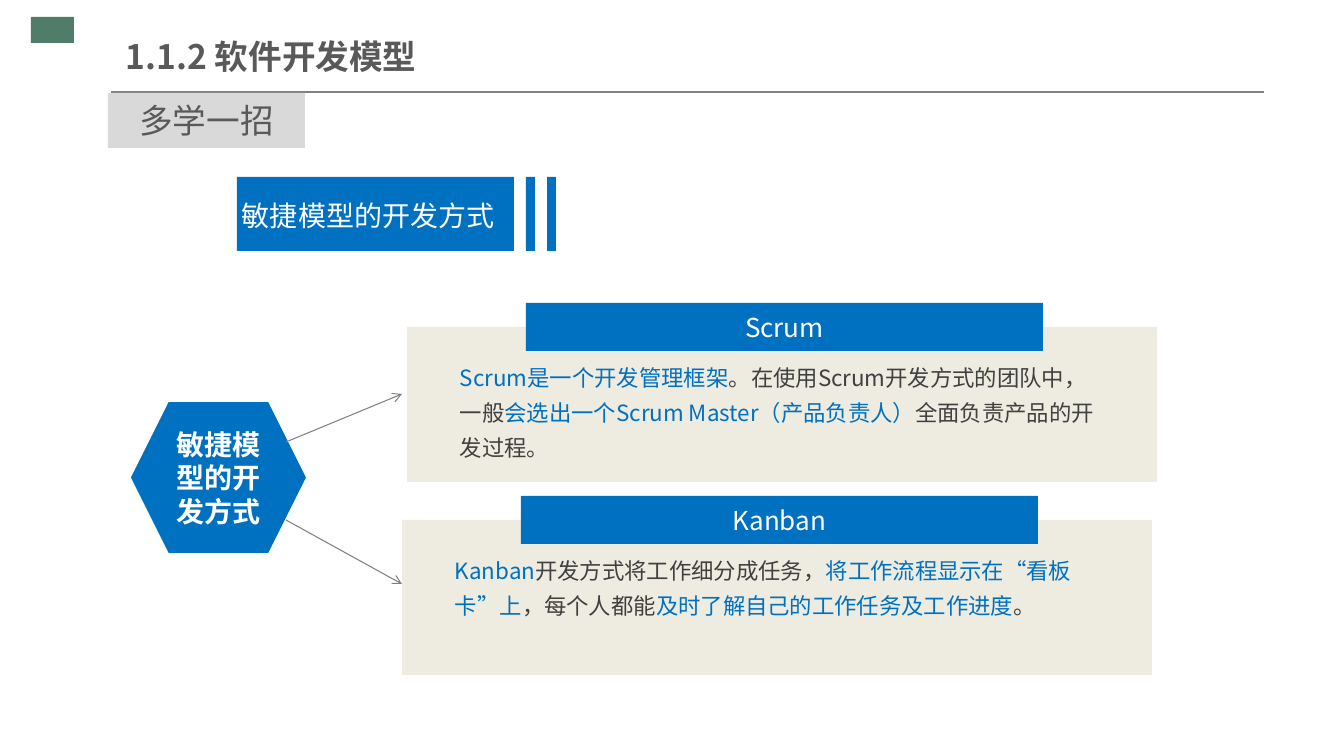
import pptx
import pptx.util
import pptx.dml.color
import pptx.enum.shapes
import pptx.enum.text
import pptx.oxml
import pptx.oxml.ns

FONT = "Noto Sans CJK SC"
BLUE, GREEN, BEIGE, SILVER = "0070C0", "4F7D6A", "EEECE1", "D9D9D9"
WHITE, GREY, DARK, INK = "FFFFFF", "808080", "595959", "404040"
SHAPE = pptx.enum.shapes.MSO_SHAPE
ALIGN = pptx.enum.text.PP_ALIGN
ANCHOR = pptx.enum.text.MSO_ANCHOR


def px(n):
    """Turn whole pixels into EMU."""
    return pptx.util.Emu(round(n * 914400 / 100.8))


def rgb(value):
    """Turn a hex string into a colour."""
    return pptx.dml.color.RGBColor.from_string(value)


def write(sp, runs, size, bold=False, align=ALIGN.LEFT, anchor=ANCHOR.MIDDLE,
          spacing=None, margins=(10, 5)):
    """Fill a shape with one paragraph of (text, colour) runs."""
    tf = sp.text_frame
    tf.word_wrap = True
    tf.auto_size = pptx.enum.text.MSO_AUTO_SIZE.NONE
    tf.vertical_anchor = anchor
    tf.margin_left = tf.margin_right = px(margins[0])
    tf.margin_top = tf.margin_bottom = px(margins[1])
    p = tf.paragraphs[0]
    p.alignment = align
    if spacing:
        p.line_spacing = spacing
    for text, color in runs:
        r = p.add_run()
        r.text = text
        r.font.size = pptx.util.Pt(size)
        r.font.bold = bold
        r.font.color.rgb = rgb(color)
        r.font.name = FONT
        ea = pptx.oxml.parse_xml(
            f'<a:ea {pptx.oxml.ns.nsdecls("a")} typeface="{FONT}"/>')
        r.font._element.append(ea)


def add_block(slide, x, y, w, h, color, kind=SHAPE.RECTANGLE):
    """Add a flat filled shape without outline."""
    sp = slide.shapes.add_shape(kind, px(x), px(y), px(w), px(h))
    sp.shadow.inherit = False
    sp.fill.solid()
    sp.fill.fore_color.rgb = rgb(color)
    sp.line.fill.background()
    return sp


def add_text(slide, x, y, w, h, runs, size, **style):
    """Add a text box anchored at its top."""
    sp = slide.shapes.add_textbox(px(x), px(y), px(w), px(h))
    write(sp, runs, size, anchor=ANCHOR.TOP, **style)


def add_line(slide, x1, y1, x2, y2, arrow=False):
    """Add a thin grey line, with an open arrowhead if asked."""
    cn = slide.shapes.add_connector(
        pptx.enum.shapes.MSO_CONNECTOR.STRAIGHT, px(x1), px(y1), px(x2), px(y2))
    cn.line.color.rgb = rgb(GREY)
    cn.line.width = pptx.util.Pt(0.75)
    ns = pptx.oxml.ns.nsdecls("a")
    if arrow:
        cn.line._get_or_add_ln().append(
            pptx.oxml.parse_xml(f'<a:tailEnd {ns} type="arrow"/>'))
    cn._element.spPr.append(pptx.oxml.parse_xml(f"<a:effectLst {ns}/>"))


def add_header(slide, x, y, w):
    """Place the title, its rule and the tag hanging below the rule."""
    add_block(slide, x - 80, y - 75, 43, 26, GREEN)
    add_line(slide, x, y, x + w, y)
    title = slide.shapes.title
    title.left, title.top = px(x + 15), px(y - 63)
    title.width, title.height = px(429), px(55)
    write(title, [("1.1.2 软件开发模型", DARK)], 24, bold=True, margins=(0, 7))
    tag = add_block(slide, x - 3, y + 1, 197, 55, SILVER)
    write(tag, [("多学一招", DARK)], 24, align=ALIGN.CENTER)


def add_banner(slide, x, y, w, h):
    """Place the topic banner with two trailing bars."""
    add_block(slide, x, y, w, h, BLUE)
    add_text(slide, x - 5, y + 16, w + 5, 44, [("敏捷模型的开发方式", WHITE)], 20,
             align=ALIGN.JUSTIFY)
    for i in range(2):
        add_block(slide, x + w + 12 + 21 * i, y, 9, h, BLUE)


def add_card(slide, x, y, w, h, heading, runs):
    """Place a panel with a heading tab over its top edge."""
    add_block(slide, x, y, w, h, BEIGE)
    tab = add_block(slide, x + 119, y - 24, 517, 48, BLUE)
    write(tab, [(heading, WHITE)], 18.6, align=ALIGN.CENTER)
    add_text(slide, x + 43, y + 24, w - 83, h - 39, runs, 16, spacing=1.3)


def add_hub(slide, x, y, w, h):
    """Place the hexagon and the arrows to both cards."""
    hub = add_block(slide, x, y, w, h, BLUE, SHAPE.HEXAGON)
    write(hub, [("敏捷模型的开发方式", WHITE)], 20, bold=True, align=ALIGN.CENTER)
    for start, end in ((40, -8), (118, 182)):
        add_line(slide, x + 155, y + start, x + 271, y + end, arrow=True)


def main():
    """Build and save the slide."""
    prs = pptx.Presentation()
    prs.slide_width, prs.slide_height = px(1344), px(756)
    slide = prs.slides.add_slide(prs.slide_layouts[5])
    add_header(slide, 111, 92, 1153)
    add_banner(slide, 237, 177, 277, 74)
    add_hub(slide, 131, 402, 175, 151)
    add_card(slide, 407, 327, 750, 155, "Scrum", [
        ("Scrum是一个开发管理框架", BLUE),
        ("。在使用Scrum开发方式的团队中，一般", INK),
        ("会选出一个Scrum Master（产品负责人）", BLUE),
        ("全面负责产品的开发过程。", INK)])
    add_card(slide, 402, 520, 750, 155, "Kanban", [
        ("Kanban", BLUE),
        ("开发方式将工作细分成任务，", INK),
        ("将工作流程显示在“看板卡”上", BLUE),
        ("，每个人都能", INK),
        ("及时了解自己的工作任务及工作进度", BLUE),
        ("。", INK)])
    prs.save("out.pptx")


if __name__ == "__main__":
    main()
